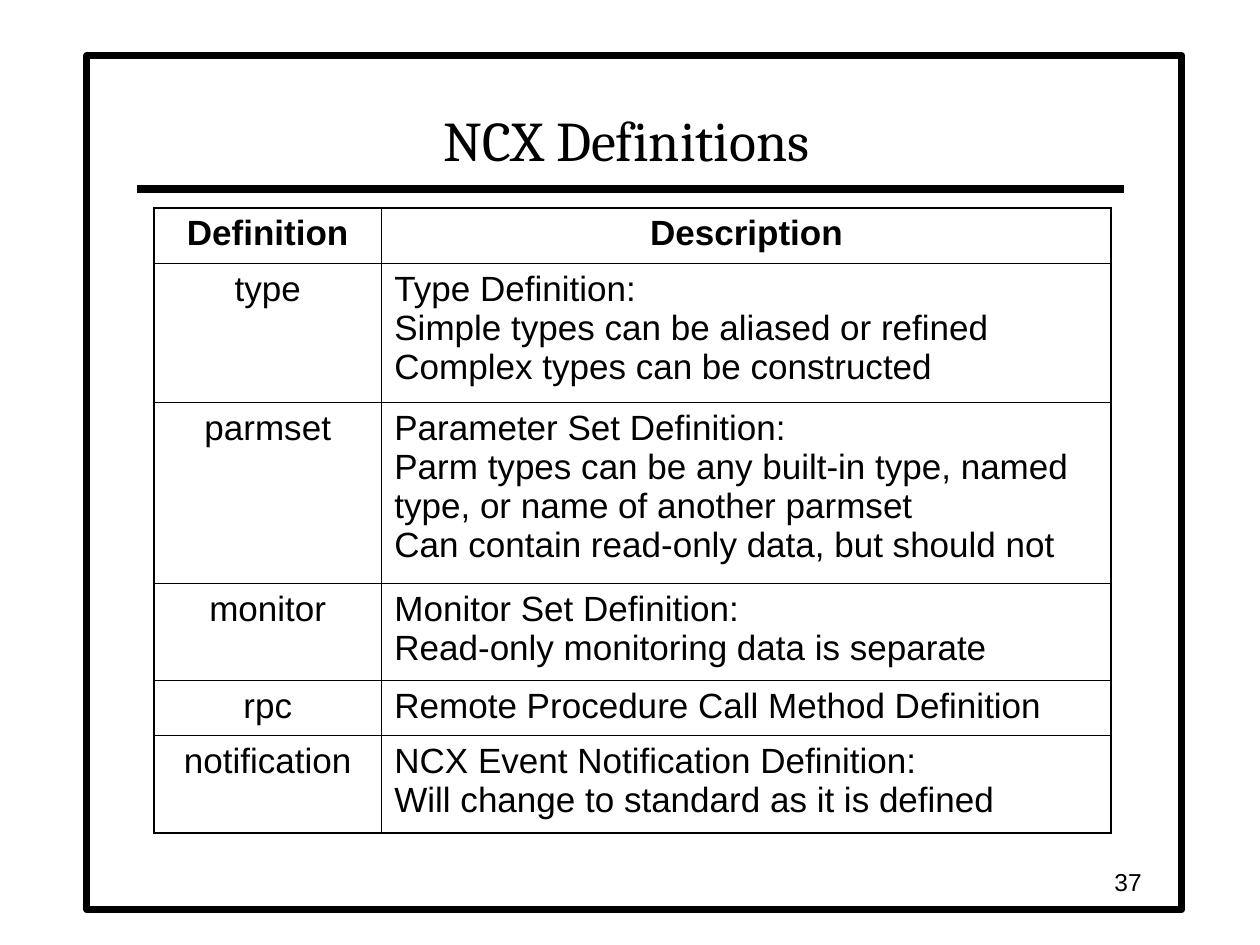
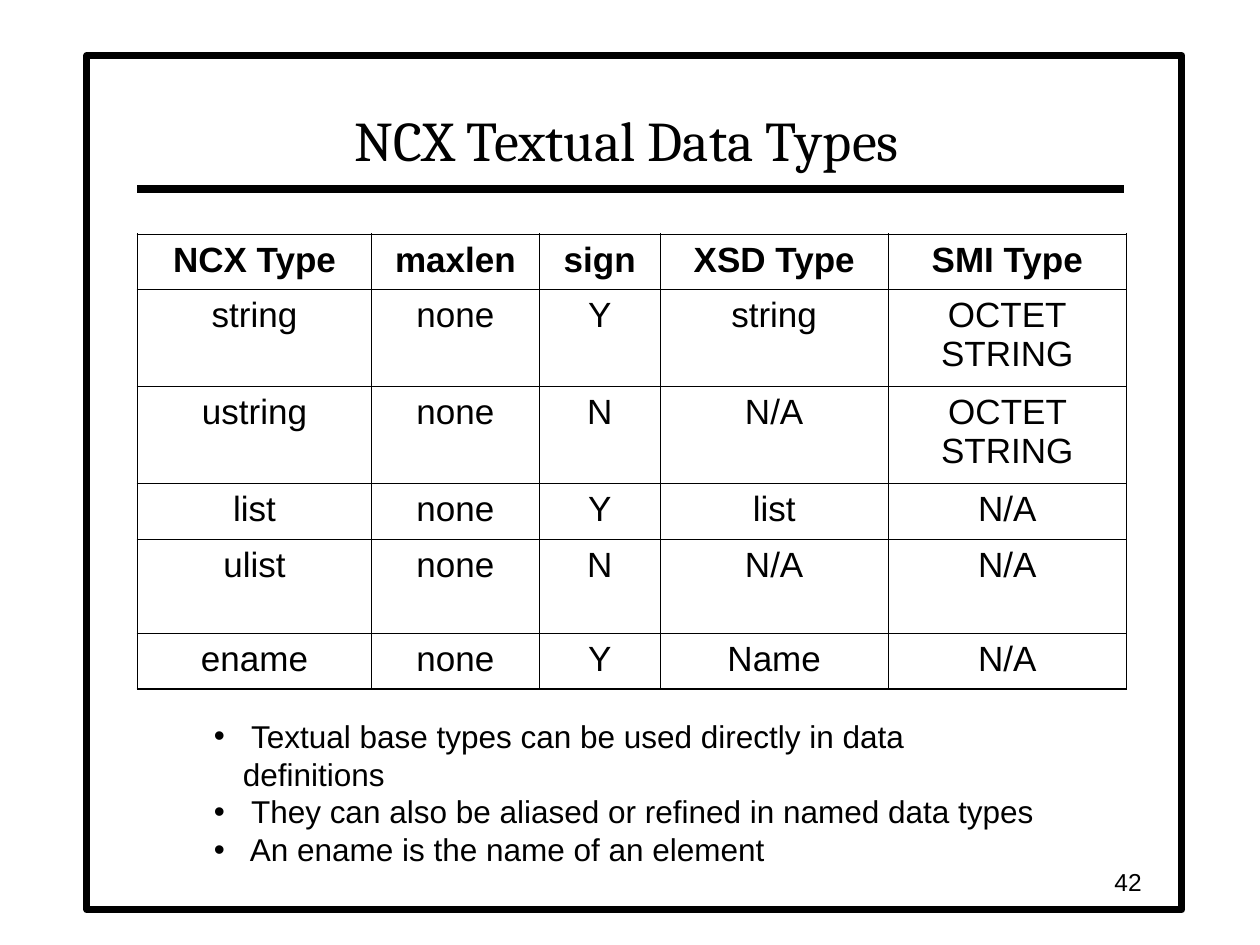
from dataclasses import dataclass
from typing import Any

from lxml.etree import SubElement
from pptx import Presentation
from pptx.dml.color import RGBColor
from pptx.enum.shapes import MSO_CONNECTOR as Link, MSO_SHAPE as Shape
from pptx.enum.text import MSO_ANCHOR as Anchor, PP_ALIGN as Align
from pptx.oxml import parse_xml
from pptx.oxml.ns import nsdecls, qn
from pptx.util import Inches, Pt

INK, PAPER = "000000", "FFFFFF"
SANS, SERIF = "Arial", "Cambria"
THICK, THIN = 1.08, 0.45
Box = tuple[float, float, float, float]


@dataclass
class Grid:
    left: float
    top: float
    cols: list[float]
    rows: list[float]
    cells: list[list[str]]
    prose: tuple[int, ...] = ()  # columns set flush left below the header


@dataclass
class Page:
    title: str
    number: str
    grid: Grid
    points: tuple[str, ...] = ()


PAGES = [
    Page("NCX Definitions", "37", Grid(
        1.22, 1.65, [1.81, 5.79], [0.44, 1.1, 1.44, 0.77, 0.44, 0.77],
        [
            ["Definition", "Description"],
            ["type", "Type Definition:\nSimple types can be aliased or refined\n"
                     "Complex types can be constructed"],
            ["parmset", "Parameter Set Definition:\n"
                        "Parm types can be any built-in type, named type, "
                        "or name of another parmset\n"
                        "Can contain read-only data, but should not"],
            ["monitor", "Monitor Set Definition:\n"
                        "Read-only monitoring data is separate"],
            ["rpc", "Remote Procedure Call Method Definition"],
            ["notification", "NCX Event Notification Definition:\n"
                             "Will change to standard as it is defined"],
        ], prose=(1,))),
    Page("NCX Textual Data Types", "42", Grid(
        1.09, 1.86, [1.86, 1.33, 0.96, 1.81, 1.89],
        [0.44, 0.77, 0.77, 0.44, 0.75, 0.44],
        [
            ["NCX Type", "maxlen", "sign", "XSD Type", "SMI Type"],
            ["string", "none", "Y", "string", "OCTET\nSTRING"],
            ["ustring", "none", "N", "N/A", "OCTET STRING"],
            ["list", "none", "Y", "list", "N/A"],
            ["ulist", "none", "N", "N/A", "N/A"],
            ["ename", "none", "Y", "Name", "N/A"],
        ]),
        points=(
            " Textual base types can be used directly in data definitions",
            " They can also be aliased or refined in named data types",
            " An ename is the name of an element",
        )),
]


def color(code: str) -> RGBColor:
    return RGBColor.from_string(code)


def style(para: Any, size: float, align: Align = Align.LEFT,
          face: str = SANS, bold: bool = False) -> None:
    para.alignment = align
    font = para.font
    font.name, font.size, font.bold = face, Pt(size), bold
    font.color.rgb = color(INK)


def add_box(slide: Any, box: Box, anchor: Anchor = Anchor.TOP) -> Any:
    frame = slide.shapes.add_textbox(*map(Inches, box)).text_frame
    frame.word_wrap = True
    frame.vertical_anchor = anchor
    return frame


def add_base(slide: Any, page: Page) -> None:
    # Page border
    edge = slide.shapes.add_shape(
        Shape.RECTANGLE, *map(Inches, (0.69, 0.44, 8.69, 6.78)))
    edge.shadow.inherit = False
    edge.fill.solid()
    edge.fill.fore_color.rgb = color(PAPER)
    edge.line.color.rgb = color(INK)
    edge.line.width = Pt(4)

    # Rule under the title
    rule = slide.shapes.add_connector(
        Link.STRAIGHT, *map(Inches, (1.09, 1.5, 8.92, 1.5)))
    rule.line.color.rgb = color(INK)
    rule.line.width = Pt(4.5)
    SubElement(rule._element.spPr, qn("a:effectLst"))

    # Title and page number
    title = add_box(slide, (1.08, 0.5, 7.79, 0.92), Anchor.BOTTOM).paragraphs[0]
    title.text = page.title
    style(title, 32, Align.CENTER, SERIF)
    number = add_box(slide, (7.08, 6.83, 2.08, 0.33), Anchor.MIDDLE).paragraphs[0]
    number.text = page.number
    style(number, 14, Align.RIGHT)


def set_edges(cell: Any, outer: dict[str, bool]) -> None:
    props = cell._tc.get_or_add_tcPr()
    for spot, (side, is_outer) in enumerate(outer.items()):
        width = Pt(THICK if is_outer else THIN)
        props.insert(spot, parse_xml(
            f'<a:ln{side} {nsdecls("a")} w="{width}"><a:solidFill>'
            f'<a:srgbClr val="{INK}"/></a:solidFill></a:ln{side}>'))


def add_grid(slide: Any, grid: Grid) -> None:
    n_rows, n_cols = len(grid.rows), len(grid.cols)
    table = slide.shapes.add_table(
        n_rows, n_cols, Inches(grid.left), Inches(grid.top),
        Inches(sum(grid.cols)), Inches(sum(grid.rows))).table
    table.first_row = table.horz_banding = False
    for col, width in zip(table.columns, grid.cols):
        col.width = Inches(width)
    for row, height in zip(table.rows, grid.rows):
        row.height = Inches(height)

    for r, texts in enumerate(grid.cells):
        for c, text in enumerate(texts):
            cell = table.cell(r, c)
            cell.fill.background()
            set_edges(cell, {"L": c == 0, "R": c == n_cols - 1,
                             "T": r == 0, "B": r == n_rows - 1})
            para = cell.text_frame.paragraphs[0]
            para.text = text
            flush = r > 0 and c in grid.prose
            style(para, 20, Align.LEFT if flush else Align.CENTER, bold=r == 0)


def add_points(slide: Any, points: tuple[str, ...]) -> None:
    frame = add_box(slide, (1.6, 5.64, 6.76, 1.3))
    for i, text in enumerate(points):
        para = frame.add_paragraph() if i else frame.paragraphs[0]
        para.text = text
        props = para._p.get_or_add_pPr()
        props.set("marL", str(Inches(0.23)))
        props.set("indent", str(Inches(-0.23)))
        SubElement(props, qn("a:buFont"), typeface=SANS)
        SubElement(props, qn("a:buChar"), char="•")
        style(para, 18)


def main() -> None:
    deck = Presentation()
    deck.slide_width, deck.slide_height = Inches(10), Inches(7.5)
    for page in PAGES:
        slide = deck.slides.add_slide(deck.slide_layouts[6])
        add_base(slide, page)
        add_grid(slide, page.grid)
        if page.points:
            add_points(slide, page.points)
    deck.save("out.pptx")


if __name__ == "__main__":
    main()
